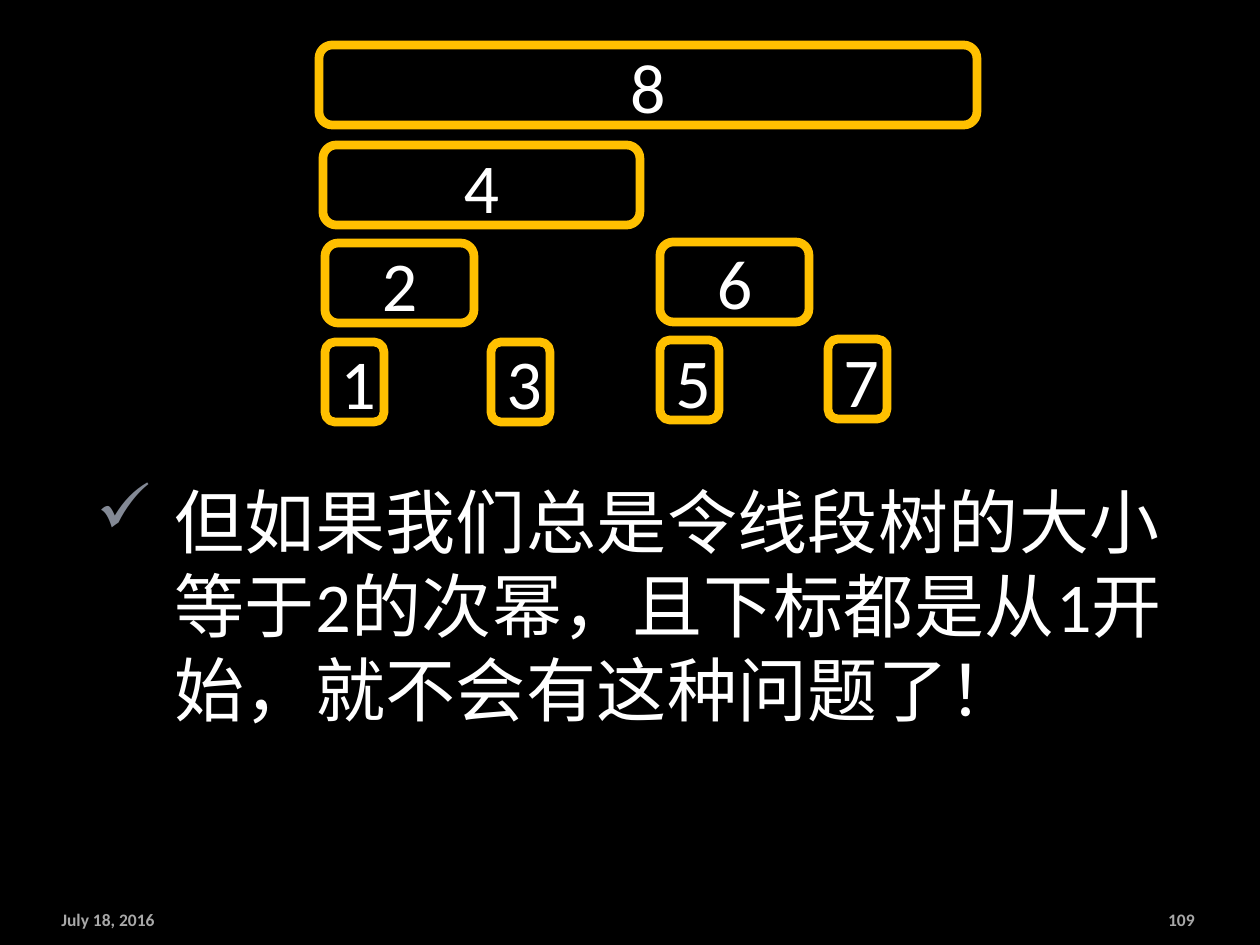
from lxml import etree
from pptx import Presentation, util as u
from pptx.dml.color import RGBColor
from pptx.enum import shapes, text
from pptx.oxml.ns import qn

PX = 914400 / 126
BLACK = RGBColor(0x00, 0x00, 0x00)
WHITE = RGBColor(0xFF, 0xFF, 0xFF)
GOLD = RGBColor(0xFF, 0xC0, 0x00)
SLATE = RGBColor(0x83, 0x89, 0x95)

LARGE = {"name": "Calibri", "size": u.Pt(40)}
SMALL = {"name": "Calibri", "size": u.Pt(10), "bold": True}
NODES = [
    ("8", 319, 45, 658), ("4", 323, 145, 317),
    ("2", 325, 243, 149), ("6", 660, 242, 149),
    ("1", 325, 342, 59), ("3", 491, 342, 59),
    ("5", 660, 340, 59), ("7", 828, 339, 59),
]


def px(n):
    return u.Emu(round(n * PX))


class SlideBuilder:
    """Draws styled elements on the current slide."""

    def __init__(self, prs):
        self.s = prs.slides.add_slide(prs.slide_layouts[6])
        fill = self.s.background.fill
        fill.solid()
        fill.fore_color.rgb = BLACK

    def label(self, sp, words, style, align, anchor):
        tf = sp.text_frame
        tf.word_wrap = True
        tf.vertical_anchor = anchor
        p = tf.paragraphs[0]
        p.alignment = align
        r = p.add_run()
        r.text = words
        for key, value in style.items():
            setattr(r.font, key, value)
        r.font.color.rgb = WHITE
        return p, r

    def node(self, words, x, y, w, h=80):
        sp = self.s.shapes.add_shape(
            shapes.MSO_SHAPE.ROUNDED_RECTANGLE, px(x), px(y), px(w), px(h))
        sp.shadow.inherit = False
        sp.fill.background()
        sp.line.color.rgb = GOLD
        sp.line.width = u.Pt(5)
        self.label(sp, words, LARGE, text.PP_ALIGN.CENTER, text.MSO_ANCHOR.MIDDLE)

    def bullet(self, words, x, y, w, h, indent):
        sp = self.s.shapes.add_textbox(px(x), px(y), px(w), px(h))
        p, r = self.label(sp, words, LARGE, text.PP_ALIGN.LEFT, text.MSO_ANCHOR.TOP)
        r.font._element.set("spc", "30")
        pPr = p._p.get_or_add_pPr()
        pPr.set("marL", str(px(indent)))
        pPr.set("indent", str(px(-indent)))
        color = etree.SubElement(pPr, qn("a:buClr"))
        etree.SubElement(color, qn("a:srgbClr"), val=str(SLATE))
        etree.SubElement(pPr, qn("a:buChar"), char="✓")

    def footer(self, words, x, y, w, h, align):
        sp = self.s.shapes.add_textbox(px(x), px(y), px(w), px(h))
        _, r = self.label(sp, words, SMALL, align, text.MSO_ANCHOR.MIDDLE)
        color = r.font._element.find(".//" + qn("a:srgbClr"))
        etree.SubElement(color, qn("a:alpha"), val="65000")


def main():
    prs = Presentation()
    prs.slide_width, prs.slide_height = px(1260), px(945)
    slide = SlideBuilder(prs)
    slide.bullet("但如果我们总是令线段树的大小等于2的次幂，且下标都是从1开始，就不会有这种问题了！",
                 84, 472, 1101, 357, 78)
    slide.footer("July 18, 2016", 49, 902, 202, 34, text.PP_ALIGN.LEFT)
    slide.footer("109", 1086, 902, 121, 34, text.PP_ALIGN.RIGHT)
    for node in NODES:
        slide.node(*node)
    prs.save("out.pptx")


if __name__ == "__main__":
    main()
